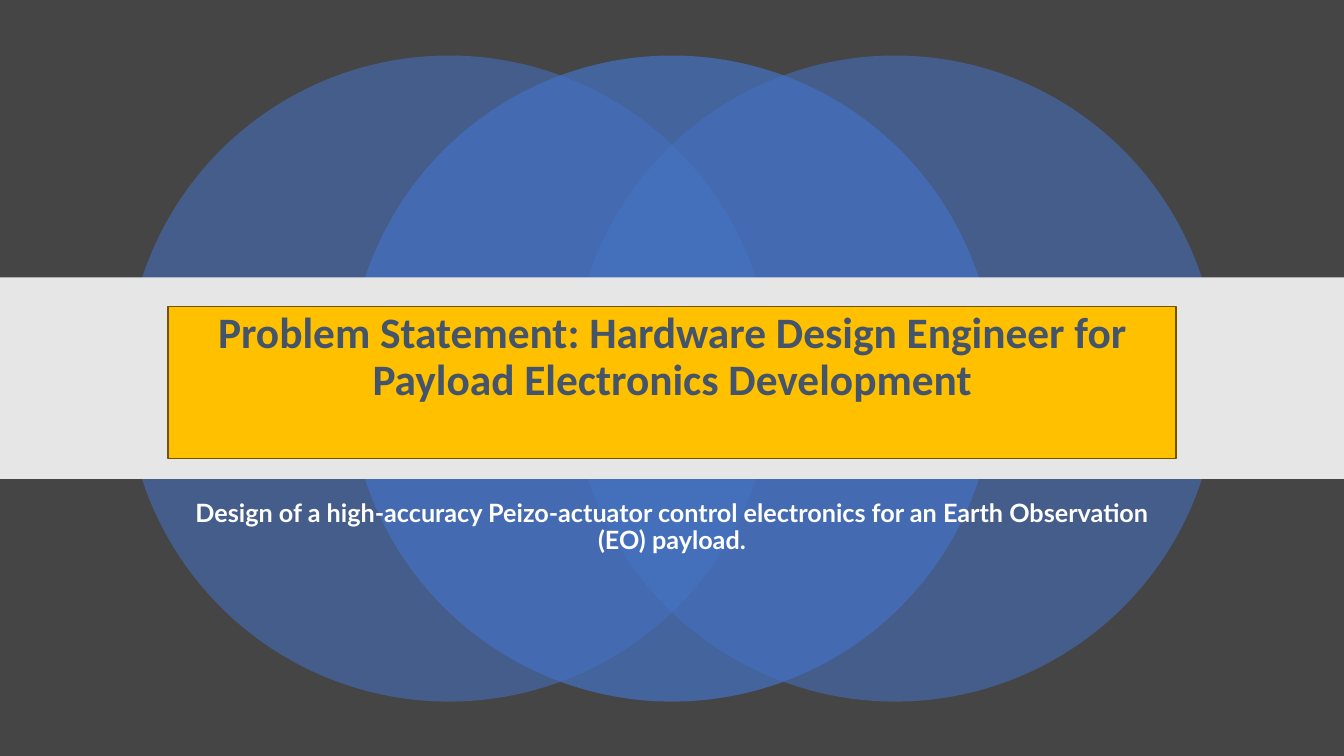
from dataclasses import dataclass

from lxml import etree
from pptx import Presentation
from pptx.dml.color import RGBColor
from pptx.enum.shapes import MSO_SHAPE
from pptx.enum.text import MSO_ANCHOR, MSO_AUTO_SIZE, PP_ALIGN
from pptx.oxml.ns import qn
from pptx.util import Cm, Pt

OVAL, RECTANGLE = MSO_SHAPE.OVAL, MSO_SHAPE.RECTANGLE
CENTER, TOP, NO_FIT = PP_ALIGN.CENTER, MSO_ANCHOR.TOP, MSO_AUTO_SIZE.NONE
TITLE_ONLY = 5

TITLE = "Problem Statement: Hardware Design Engineer for Payload Electronics Development"
SUBTITLE = ("Design of a high-accuracy Peizo-actuator control electronics "
            "for an Earth Observation (EO) payload.")
# Steps from the slide centre and opacity in percent, back to front
CIRCLES = [(-1, 55), (1, 55), (0, 70)]

PAGE_WIDTH, PAGE_HEIGHT = 33.87, 19.05
CIRCLE_SIZE, CIRCLE_TOP, CIRCLE_STEP = 16.28, 1.4, 5.62
BAND_TOP, BAND_HEIGHT = 6.99, 5.08
TEXT_WIDTH = 25.4
TITLE_TOP, TITLE_HEIGHT = 7.72, 3.84
SUBTITLE_TOP, SUBTITLE_HEIGHT = 12.5, 2.11


@dataclass(frozen=True)
class Theme:
    background: str = "454545"
    circle: str = "4472C4"
    band: str = "E7E6E6"
    title_fill: str = "FFC000"
    title_line: str = "705400"
    title_text: str = "44546A"
    subtitle_text: str = "FFFFFF"
    title_font: str = "Calibri"
    subtitle_font: str = "Lato"
    title_size: int = 31
    subtitle_size: int = 18


THEME = Theme()


def set_fill(fill, color, opacity=100):
    fill.solid()
    fill.fore_color.rgb = RGBColor.from_string(color)
    if opacity < 100:
        color_node = fill._xPr.find(qn("a:solidFill"))[0]
        etree.SubElement(color_node, qn("a:alpha"), val=str(opacity * 1000))


def add_plain_shape(shapes, kind, left, top, width, height, color, opacity=100):
    shape = shapes.add_shape(kind, Cm(left), Cm(top), Cm(width), Cm(height))
    set_fill(shape.fill, color, opacity)
    shape.line.fill.background()
    shape.shadow.inherit = False
    return shape


def write_text(box, text, *, font, size, color):
    frame = box.text_frame
    frame.word_wrap = True
    frame.auto_size = NO_FIT
    frame.vertical_anchor = TOP
    para = frame.paragraphs[0]
    para.alignment = CENTER
    para.line_spacing = 0.9
    span = para.add_run()
    span.text = text
    span.font.name = font
    span.font.size = Pt(size)
    span.font.bold = True
    span.font.color.rgb = RGBColor.from_string(color)


def add_circles(page):
    group = page.shapes.add_group_shape()
    middle = (PAGE_WIDTH - CIRCLE_SIZE) / 2
    for step, opacity in CIRCLES:
        add_plain_shape(group.shapes, OVAL, middle + step * CIRCLE_STEP, CIRCLE_TOP,
                        CIRCLE_SIZE, CIRCLE_SIZE, THEME.circle, opacity)


def place_title(page, band, left):
    """Format the title placeholder and bring it in front of the band."""
    title = page.shapes.title
    title.left, title.top = Cm(left), Cm(TITLE_TOP)
    title.width, title.height = Cm(TEXT_WIDTH), Cm(TITLE_HEIGHT)
    set_fill(title.fill, THEME.title_fill)
    title.line.color.rgb = RGBColor.from_string(THEME.title_line)
    title.line.width = Pt(1)
    write_text(title, TITLE, font=THEME.title_font, size=THEME.title_size,
               color=THEME.title_text)
    band.element.addnext(title.element)


def add_subtitle(page, left):
    box = page.shapes.add_textbox(Cm(left), Cm(SUBTITLE_TOP),
                                  Cm(TEXT_WIDTH), Cm(SUBTITLE_HEIGHT))
    write_text(box, SUBTITLE, font=THEME.subtitle_font, size=THEME.subtitle_size,
               color=THEME.subtitle_text)


def main():
    deck = Presentation()
    deck.slide_width, deck.slide_height = Cm(PAGE_WIDTH), Cm(PAGE_HEIGHT)
    page = deck.slides.add_slide(deck.slide_layouts[TITLE_ONLY])
    set_fill(page.background.fill, THEME.background)

    add_circles(page)
    band = add_plain_shape(page.shapes, RECTANGLE, 0, BAND_TOP,
                           PAGE_WIDTH, BAND_HEIGHT, THEME.band)
    text_left = (PAGE_WIDTH - TEXT_WIDTH) / 2
    place_title(page, band, text_left)
    add_subtitle(page, text_left)
    deck.save("out.pptx")


if __name__ == "__main__":
    main()
